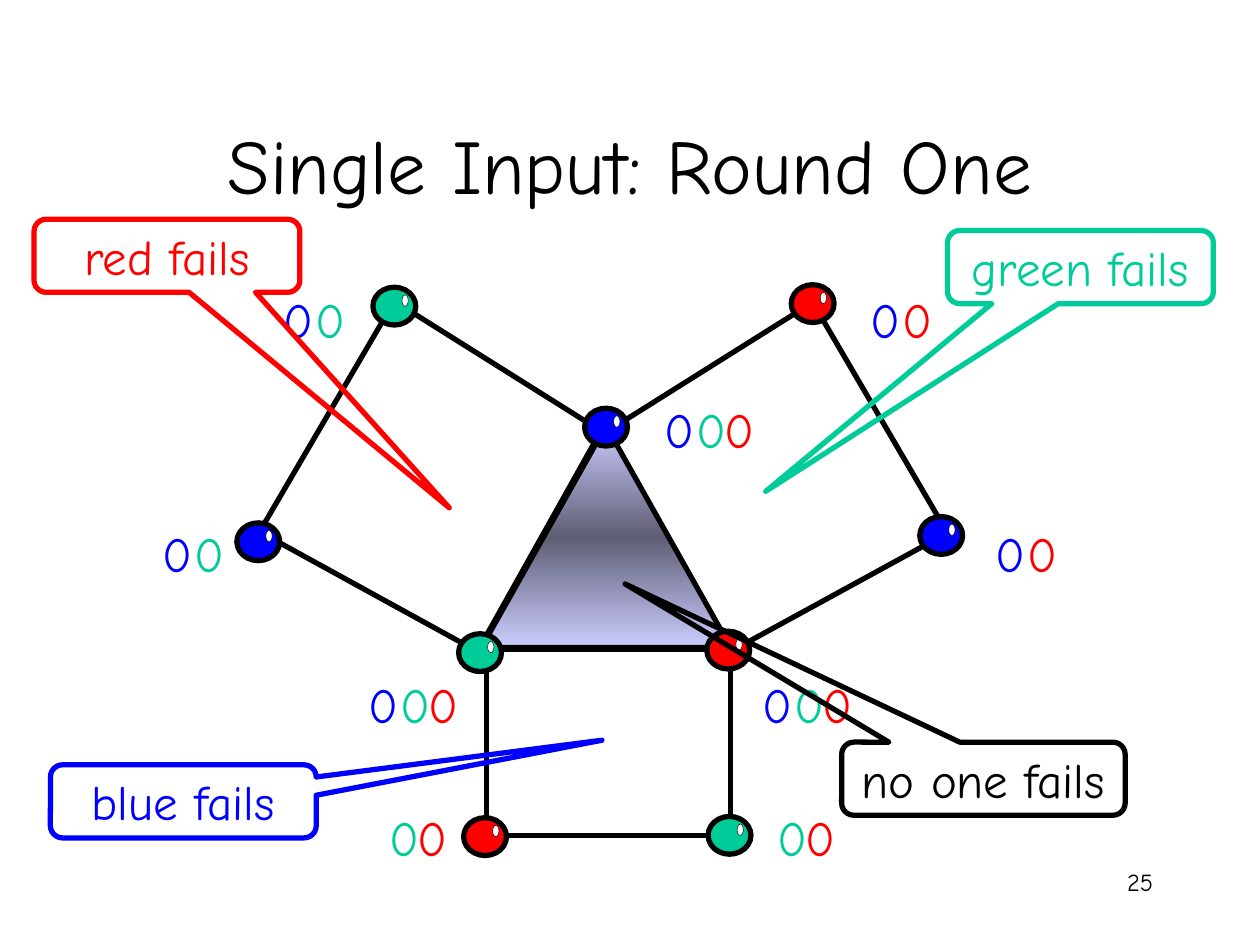
"""Build the slide on single-input protocol states after round one."""
import copy
from dataclasses import dataclass

import pptx
import pptx.dml.color
import pptx.enum.shapes
import pptx.enum.text
import pptx.util

Inches = pptx.util.Inches
Shape = pptx.enum.shapes.MSO_SHAPE
Align = pptx.enum.text.PP_ALIGN
Anchor = pptx.enum.text.MSO_ANCHOR

FONT = "Comic Neue"
BLACK, WHITE = "000000", "FFFFFF"
BLUE, GREEN, RED = "0000FF", "00CC99", "FF0000"
ADVANCE = {BLUE: 0.255, GREEN: 0.225, RED: 0}


@dataclass
class Node:
    x: float
    y: float
    color: str


@dataclass
class View:
    x: float
    y: float
    colors: tuple[str, ...]


@dataclass
class Callout:
    text: str
    x: float
    y: float
    w: float
    tip: tuple[float, float]
    color: str


QUADS = [
    [(3.79, 5.17), (2.06, 4.22), (3.13, 2.39), (4.77, 3.42)],
    [(5.8, 5.17), (7.52, 4.23), (6.45, 2.4), (4.81, 3.43)],
]
INNER_NODES = [Node(4.64, 3.24, BLUE), Node(5.61, 5.01, RED), Node(3.64, 5.03, GREEN)]
OUTER_NODES = [
    Node(7.3, 4.1, BLUE),
    Node(6.28, 2.26, RED),
    Node(2.96, 2.28, GREEN),
    Node(1.88, 4.15, BLUE),
    Node(5.62, 6.48, GREEN),
    Node(3.68, 6.49, RED),
]
INNER_VIEWS = [View(x, y, (BLUE, GREEN, RED)) for x, y in ((5.17, 3.12), (2.82, 5.3), (5.95, 5.3))]
OUTER_VIEWS = [
    View(2.99, 6.36, (GREEN, RED)),
    View(6.07, 6.36, (GREEN, RED)),
    View(2.15, 2.25, (BLUE, GREEN)),
    View(1.19, 4.1, (BLUE, GREEN)),
    View(6.81, 2.25, (BLUE, RED)),
    View(7.8, 4.1, (BLUE, RED)),
]
CALLOUTS = [
    Callout("no one fails", 6.68, 5.89, 2.25, (-1.264, -2.666), BLACK),
    Callout("green fails", 7.52, 1.83, 2.11, (-1.184, 3.069), GREEN),
    Callout("red fails", 0.27, 1.74, 2.11, (1.062, 3.449), RED),
    Callout("blue fails", 0.4, 6.07, 2.11, (1.575, -0.837), BLUE),
]


def rgb(value: str) -> pptx.dml.color.RGBColor:
    """Turn a hex string into a colour."""
    return pptx.dml.color.RGBColor.from_string(value)


def style(sp, fill=None, line=BLACK, width=3):
    """Set the fill and outline of a shape and drop its shadow."""
    sp.shadow.inherit = False
    if fill:
        sp.fill.solid()
        sp.fill.fore_color.rgb = rgb(fill)
    else:
        sp.fill.background()
    sp.line.color.rgb = rgb(line)
    sp.line.width = pptx.util.Pt(width)
    return sp


def add_shape(shapes, kind, x, y, w, h, **look):
    """Add a styled preset shape."""
    return style(shapes.add_shape(kind, Inches(x), Inches(y), Inches(w), Inches(h)), **look)


def write(sp, text, size=28, color=BLACK, align=Align.CENTER, anchor=Anchor.MIDDLE, wrap=True):
    """Put one formatted line of text in a shape."""
    tf = sp.text_frame
    tf.word_wrap = wrap
    tf.vertical_anchor = anchor
    p = tf.paragraphs[0]
    p.alignment = align
    r = p.add_run()
    r.text = text
    r.font.name = FONT
    r.font.size = pptx.util.Pt(size)
    r.font.color.rgb = rgb(color)


def add_text(shapes, text, x, y, w, h, **look):
    """Add a text box."""
    write(shapes.add_textbox(Inches(x), Inches(y), Inches(w), Inches(h)), text, **look)


def add_quad(shapes, points: list[tuple[float, float]]):
    """Draw a closed outline through the given corners."""
    start, *rest = [(Inches(x), Inches(y)) for x, y in points]
    builder = shapes.build_freeform(*start)
    builder.add_line_segments(rest, close=True)
    style(builder.convert_to_shape())


def add_triangle(shapes):
    """Draw the central triangle with its three-stop gradient."""
    sp = add_shape(shapes, Shape.ISOSCELES_TRIANGLE, 3.82, 3.38, 1.98, 1.76)
    sp.fill.gradient()
    sp.fill.gradient_angle = 270
    stops = sp._element.spPr.xpath("a:gradFill/a:gsLst")[0]
    stops.insert(1, copy.deepcopy(stops[0]))
    for stop, position, color in zip(sp.fill.gradient_stops, (0, 0.5, 1), ("CCCCFF", "5E5E75", "CCCCFF")):
        stop.position = position
        stop.color.rgb = rgb(color)


def add_node(shapes, node: Node):
    """Draw a process as a ball with a highlight."""
    group = shapes.add_group_shape().shapes
    add_shape(group, Shape.OVAL, node.x, node.y, 0.34, 0.3, fill=node.color)
    add_shape(group, Shape.OVAL, node.x + 0.23, node.y + 0.06, 0.05, 0.09, fill=WHITE, width=0.25)


def add_view(shapes, view: View):
    """Write the row of zeros that a process has seen."""
    group = shapes.add_group_shape().shapes
    x = view.x
    for color in view.colors:
        add_text(group, "0", x, view.y, 0.44, 0.57, color=color)
        x += ADVANCE[color]


def add_callout(shapes, callout: Callout):
    """Draw a labelled callout pointing at its region."""
    sp = add_shape(shapes, Shape.ROUNDED_RECTANGULAR_CALLOUT, callout.x, callout.y,
                   callout.w, 0.58, line=callout.color)
    for i, value in enumerate((*callout.tip, 0.167)):
        sp.adjustments[i] = value
    write(sp, callout.text, color=callout.color, wrap=False)


def main():
    """Assemble and save the slide."""
    prs = pptx.Presentation()
    prs.slide_width, prs.slide_height = Inches(10), Inches(7.5)
    s = prs.slides.add_slide(prs.slide_layouts[6])
    shapes = s.shapes
    for quad in QUADS:
        add_quad(shapes, quad)
    add_shape(shapes, Shape.RECTANGLE, 3.86, 5.15, 1.94, 1.48)
    add_text(shapes, "Single Input: Round One", 0.75, 0.67, 8.5, 1.25, size=44)
    add_triangle(shapes)
    for nodes, views in ((INNER_NODES, INNER_VIEWS), (OUTER_NODES, OUTER_VIEWS)):
        for node in nodes:
            add_node(shapes, node)
        for view in views:
            add_view(shapes, view)
    for callout in CALLOUTS:
        add_callout(shapes, callout)
    add_text(shapes, "25", 7.17, 6.83, 2.08, 0.5, size=14, align=Align.RIGHT, anchor=Anchor.TOP)
    prs.save("out.pptx")


if __name__ == "__main__":
    main()
